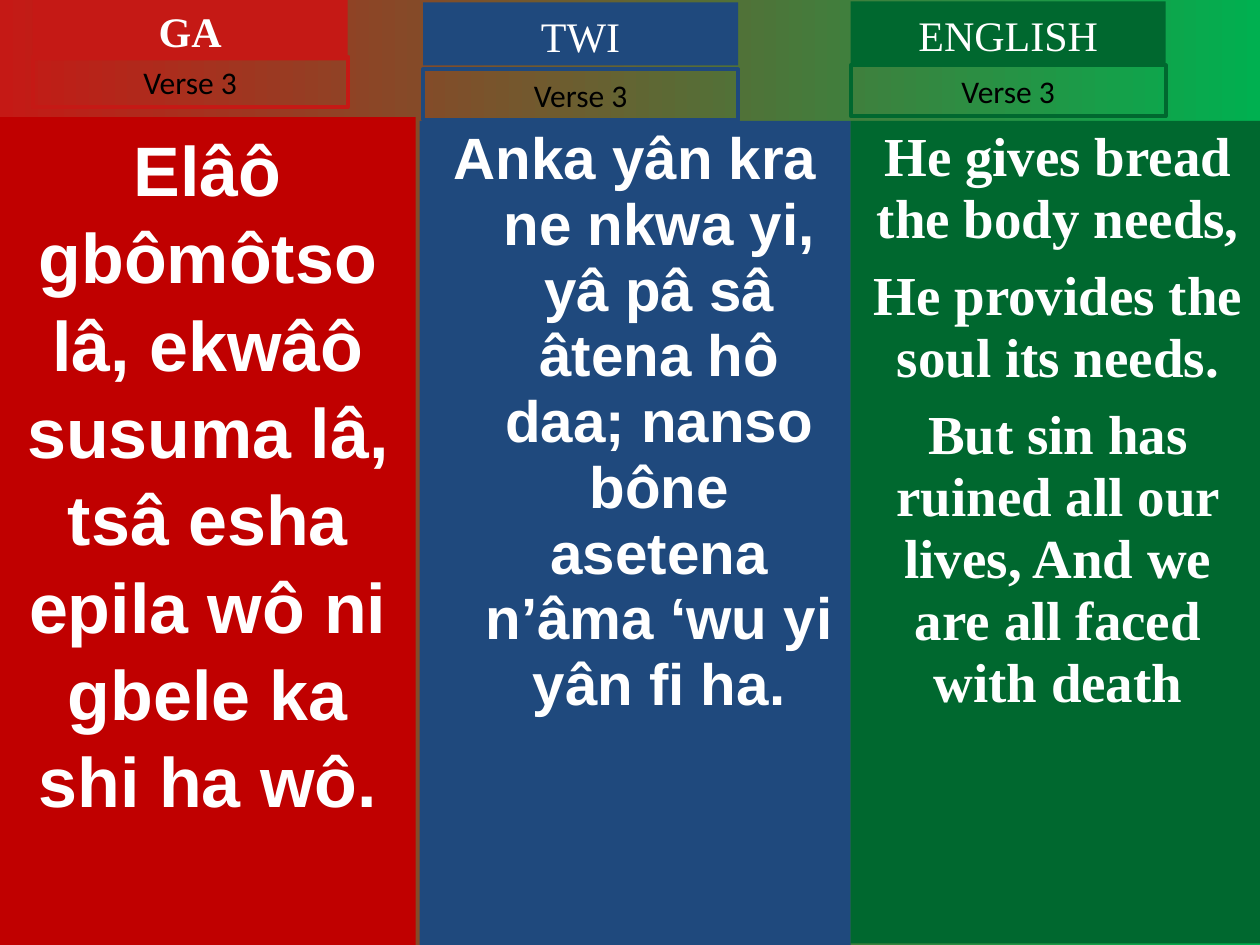
from dataclasses import dataclass

from pptx import Presentation
from pptx.dml.color import RGBColor
from pptx.enum.shapes import MSO_SHAPE as Shape
from pptx.enum.text import MSO_ANCHOR as Anchor, PP_ALIGN as Align
from pptx.util import Cm, Pt


@dataclass(frozen=True)
class Theme:
    red: str = "C00000"
    bright_red: str = "C51915"
    blue: str = "1F497D"
    green: str = "00682F"
    bright_green: str = "00B050"
    white: str = "FFFFFF"
    black: str = "000000"
    sans: str = "Arial"
    serif: str = "Times New Roman"
    label_font: str = "Calibri"
    header_size: float = 24
    label_size: float = 18
    border: float = 2.25


@dataclass(frozen=True)
class Lyrics:
    lines: tuple
    font: str
    size: float
    spacing: float
    before: float = 0
    hanging: float = 0


@dataclass(frozen=True)
class Language:
    name: str
    lyrics: Lyrics
    box: tuple            # left, top, width, height of the whole column
    panel_top: float      # offsets below are relative to the column box
    tag_left: float
    label_top: float
    panel_color: str
    tag_color: str
    bold_name: bool = False


THEME = Theme()
TAG_WIDTH, HEADER_HEIGHT, LABEL_HEIGHT = 6.35, 1.27, 1.02

LANGUAGES = (
    Language(
        "GA",
        Lyrics(("Elâô gbômôtso lâ, ekwâô susuma lâ, tsâ esha epila wô ni "
                "gbele ka shi ha wô.",), THEME.sans, 40, 1.045),
        (0, -0.05, 8.38, 19.1), 2.41, 0.66, 1.19,
        THEME.red, THEME.bright_red, True),
    Language(
        "TWI",
        Lyrics(("Anka yân kra ne nkwa yi, yâ pâ sâ âtena hô daa; nanso bône "
                "asetena n’âma ‘wu yi yân fi ha.",),
               THEME.sans, 33.3, 0.94, hanging=0.97),
        (8.46, 0.05, 8.69, 19), 2.39, 0.07, 1.35,
        THEME.blue, THEME.blue),
    Language(
        "ENGLISH",
        Lyrics(("He gives bread the body needs,",
                "He provides the soul its needs.",
                "But sin has ruined all our lives, And we are all faced with death"),
               THEME.serif, 31.4, 0.94, before=8.5),
        (17.15, 0.03, 8.36, 18.99), 2.41, 0, 1.29,
        THEME.green, THEME.green),
)


def rgb(color):
    return RGBColor.from_string(color)


def add_box(page, left, top, width, height, fill=None, border=None):
    """Add a plain rectangle with top-anchored text."""
    box = page.shapes.add_shape(
        Shape.RECTANGLE, Cm(left), Cm(top), Cm(width), Cm(height))
    box.shadow.inherit = False
    if fill:
        box.fill.solid()
        box.fill.fore_color.rgb = rgb(fill)
    else:
        box.fill.background()
    if border:
        box.line.color.rgb = rgb(border)
        box.line.width = Pt(THEME.border)
    else:
        box.line.fill.background()
    frame = box.text_frame
    frame.word_wrap = True
    frame.vertical_anchor = Anchor.TOP
    return frame


def write(frame, lines, font, size, color, bold=False, spacing=1.0, before=0, hanging=0):
    """Fill a frame with centred paragraphs."""
    for index, line in enumerate(lines):
        para = frame.add_paragraph() if index else frame.paragraphs[0]
        para.text = line
        para.alignment = Align.CENTER
        para.line_spacing = spacing
        para.space_before = Pt(before if index else 0)
        if hanging:
            properties = para._p.get_or_add_pPr()
            properties.set("marL", str(Cm(hanging)))
            properties.set("indent", str(-Cm(hanging)))
        para.font.name = font
        para.font.size = Pt(size)
        para.font.bold = bold
        para.font.color.rgb = rgb(color)


def paint_background(page):
    fill = page.background.fill
    fill.gradient()
    fill.gradient_angle = 0
    for stop, color in zip(fill.gradient_stops, (THEME.bright_red, THEME.bright_green)):
        stop.color.rgb = rgb(color)


def add_language_column(page, language):
    left, top, width, height = language.box
    tag_left = left + language.tag_left

    # Lyrics panel
    lyrics = language.lyrics
    panel = add_box(page, left, top + language.panel_top, width,
                    height - language.panel_top, fill=language.panel_color)
    write(panel, lyrics.lines, lyrics.font, lyrics.size, THEME.white, True,
          lyrics.spacing, lyrics.before, lyrics.hanging)

    # Language name
    header = add_box(page, tag_left, top, TAG_WIDTH, HEADER_HEIGHT,
                     fill=language.tag_color)
    write(header, (language.name,), THEME.serif, THEME.header_size, THEME.white,
          language.bold_name, 1.045)

    # Verse number
    label = add_box(page, tag_left, top + language.label_top, TAG_WIDTH,
                    LABEL_HEIGHT, border=language.tag_color)
    write(label, ("Verse 3",), THEME.label_font, THEME.label_size, THEME.black)


def main():
    deck = Presentation()
    deck.slide_width, deck.slide_height = Cm(25.4), Cm(19.05)
    page = deck.slides.add_slide(deck.slide_layouts.get_by_name("Blank"))
    paint_background(page)
    for language in LANGUAGES:
        add_language_column(page, language)
    deck.save("out.pptx")


if __name__ == "__main__":
    main()
